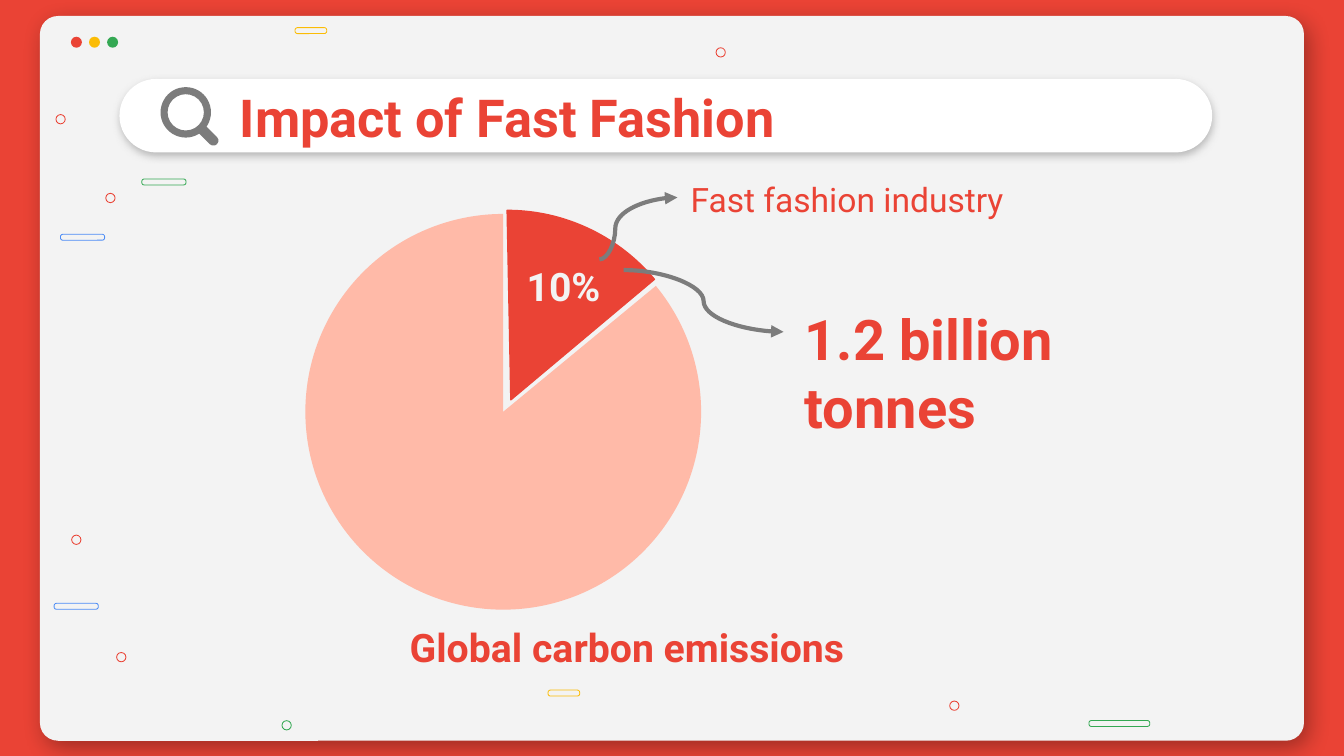
import pptx
import pptx.util
import pptx.dml.color
import pptx.enum.shapes
import pptx.enum.text
import pptx.oxml
import pptx.oxml.ns

Pt = pptx.util.Pt
Kind = pptx.enum.shapes.MSO_SHAPE
Anchor = pptx.enum.text.MSO_ANCHOR
rgb = pptx.dml.color.RGBColor.from_string
nsdecl = pptx.oxml.ns.nsdecls("a")

hues = {
    "red": "EA4335", "yellow": "FBBC05", "green": "34A853", "blue": "4D8CF5",
    "pink": "FFBAA8", "gray": "7C7C7C", "pale": "F3F3F3", "white": "FFFFFF",
    "black": "000000",
}

deck = pptx.Presentation()
deck.slide_width, deck.slide_height = Pt(720), Pt(405)
slide = deck.slides.add_slide(deck.slide_layouts[6])
slide.background.fill.solid()
slide.background.fill.fore_color.rgb = rgb(hues["red"])


def put(kind, box, fill=None, line=None, width=0.44, adjust=()):
    """Add a preset shape; box is left, top, width, height in points."""
    shape = slide.shapes.add_shape(kind, *map(Pt, box))
    shape.shadow.inherit = False
    if fill:
        shape.fill.solid()
        shape.fill.fore_color.rgb = rgb(hues[fill])
    else:
        shape.fill.background()
    if line:
        shape.line.color.rgb = rgb(hues[line])
        shape.line.width = Pt(width)
    else:
        shape.line.fill.background()
    for i, value in enumerate(adjust):
        shape.adjustments[i] = value
    return shape


def write(text, box, size, color="red", bold=True, anchor=Anchor.TOP):
    frame = slide.shapes.add_textbox(*map(Pt, box)).text_frame
    frame.word_wrap = True
    frame.vertical_anchor = anchor
    frame.margin_left = frame.margin_right = Pt(7.2)
    frame.margin_top = frame.margin_bottom = Pt(7.2)
    frame.text = text
    font = frame.paragraphs[0].runs[0].font
    font.name, font.size, font.bold = "Roboto", Pt(size), bold
    font.color.rgb = rgb(hues[color])


# Window and search bar, each with a soft shadow
panels = [
    ((21.4, 8.6, 677.2, 388.3), "pale", 0.025, "black", 32, 12.4, 5.2, 57),
    ((64, 42.3, 585.4, 39.4), "white", 0.5, "gray", 50, 4.5, 1.5, 90),
]
for box, fill, curve, tint, alpha, blur, dist, angle in panels:
    panel = put(Kind.ROUNDED_RECTANGLE, box, fill, adjust=[curve])
    effects = panel._element.spPr.find(pptx.oxml.ns.qn("a:effectLst"))
    effects.append(pptx.oxml.parse_xml(
        f'<a:outerShdw {nsdecl} blurRad="{Pt(blur)}" dist="{Pt(dist)}" '
        f'dir="{angle * 60000}" algn="bl" rotWithShape="0">'
        f'<a:srgbClr val="{hues[tint]}"><a:alpha val="{alpha * 1000}"/>'
        f'</a:srgbClr></a:outerShdw>'))

# Magnifier
put(Kind.DONUT, (86, 46.7, 27, 27), "gray", adjust=[0.14])
handle = put(Kind.ROUNDED_RECTANGLE, (104.3, 69.6, 14, 5.4), "gray", adjust=[0.5])
handle.rotation = 45

# Window buttons
for i, color in enumerate(["red", "yellow", "green"]):
    put(Kind.OVAL, (38 + 9.7 * i, 19.7, 5.9, 5.9), color)

# Scattered rings and bars
rings = [
    (38.4, 286.7, "red"), (56.7, 103.6, "red"), (30, 61.4, "red"),
    (62.5, 349.6, "red"), (151.1, 386.1, "green"), (508.8, 375.6, "red"),
    (383.6, 25.6, "red"),
]
for x, y, color in rings:
    put(Kind.OVAL, (x, y, 5, 5), line=color)

bars = [
    (293.6, 369.7, 17, "yellow"), (583.4, 386, 32.6, "green"),
    (32.4, 125.5, 23.7, "blue"), (29, 323.2, 23.7, "blue"),
    (76, 95.9, 23.7, "green"), (158.1, 14.8, 17, "yellow"),
]
for x, y, w, color in bars:
    put(Kind.ROUNDED_RECTANGLE, (x, y, w, 3.2), line=color, adjust=[0.4])

write("Impact of Fast Fashion", (121.4, 43.5, 510.5, 37.4), 28, anchor=Anchor.MIDDLE)

# Pie with one pulled-out slice
put(Kind.PIE, (163.6, 114.6, 212, 212), "pink", adjust=[192.29, 162])
slice = put(Kind.PIE, (171.4, 113.8, 204.5, 200.9), "red", "red", 0.75, [131.33, 162])
slice.rotation = 50

write("10%", (275, 133.2, 59, 44.6), 21, "pale")
write("Global carbon emissions", (212.4, 326.9, 340.6, 75.6), 21)
write("Fast fashion industry", (362.9, 88.6, 226, 75.6), 18, bold=False)
write("1.2 billion tonnes", (424, 156.2, 204.5, 75.6), 30)

# Curved arrows; the last number places the bend
arrows = [
    ((321.1, 139, 362.9, 105.8), 20400),
    ((334.1, 144.7, 419.8, 177.8), 50000),
]
for ends, bend in arrows:
    arrow = slide.shapes.add_connector(
        pptx.enum.shapes.MSO_CONNECTOR.CURVE, *map(Pt, ends))
    arrow.line.color.rgb = rgb(hues["gray"])
    arrow.line.width = Pt(2.25)
    props = arrow._element.spPr
    props.find(".//" + pptx.oxml.ns.qn("a:avLst")).append(pptx.oxml.parse_xml(
        f'<a:gd {nsdecl} name="adj1" fmla="val {bend}"/>'))
    props.find(pptx.oxml.ns.qn("a:ln")).append(pptx.oxml.parse_xml(
        f'<a:tailEnd {nsdecl} type="triangle"/>'))
    props.append(pptx.oxml.parse_xml(f'<a:effectLst {nsdecl}/>'))

deck.save("out.pptx")
